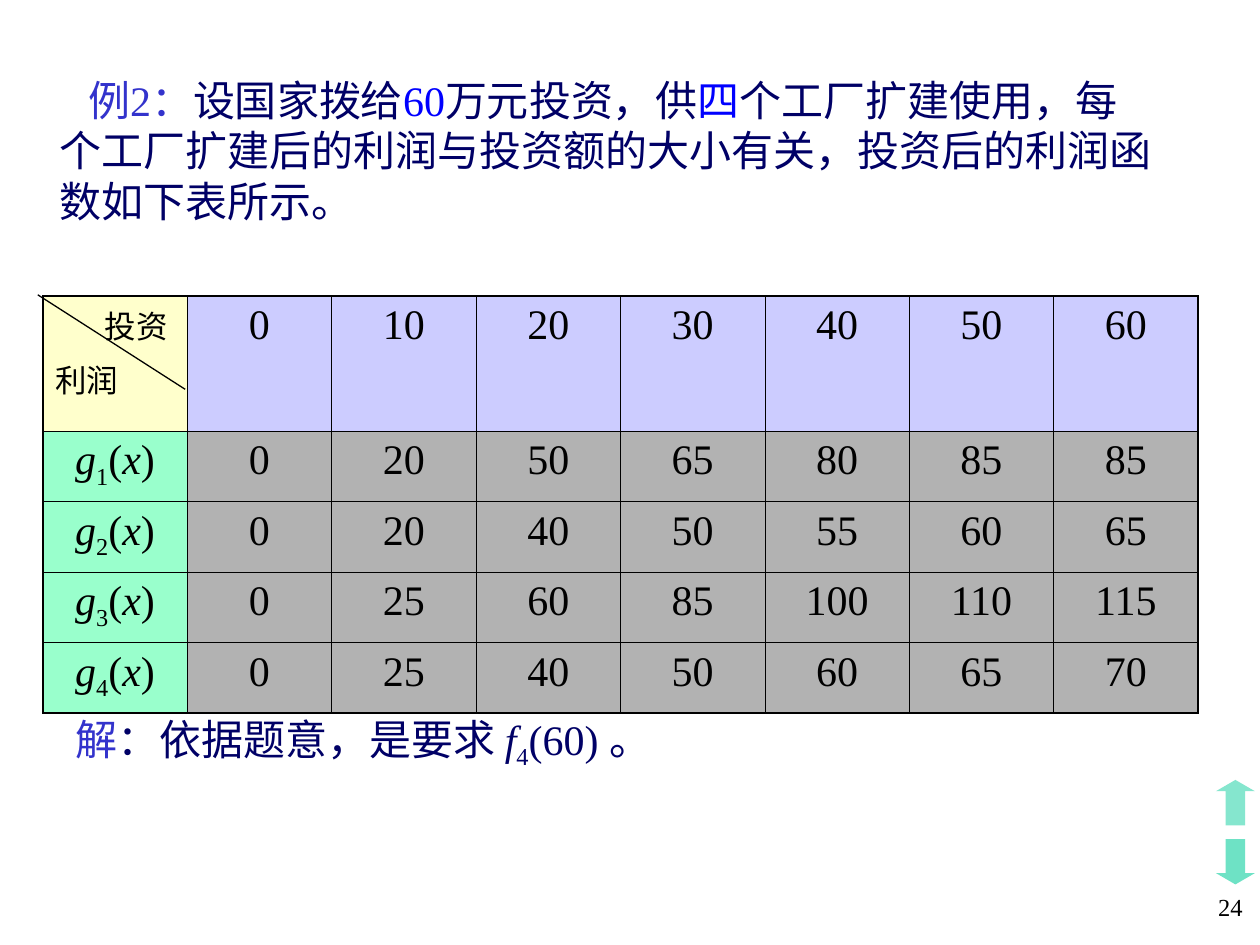
from dataclasses import dataclass

from lxml.etree import SubElement
from pptx import Presentation
from pptx.dml.color import RGBColor
from pptx.enum.shapes import MSO_CONNECTOR as Connector, MSO_SHAPE as Shape
from pptx.enum.text import PP_ALIGN as Align
from pptx.oxml.ns import qn
from pptx.util import Inches, Pt


@dataclass(frozen=True)
class Theme:
    font: str = "Times New Roman"
    label: str = "3333CC"
    body: str = "000066"
    accent: str = "0000FF"
    ink: str = "000000"
    arrow: str = "00CC99"
    corner_fill: str = "FFFFCC"
    header_fill: str = "CCCCFF"
    function_fill: str = "99FFCC"
    value_fill: str = "B2B2B2"
    body_size: float = 24
    corner_size: float = 18
    number_size: float = 14
    inner_line: float = 0.45
    outer_line: float = 1.08
    diagonal_line: float = 0.75


@dataclass(frozen=True)
class Span:
    text: str
    color: str
    italic: bool = False
    subscript: bool = False


def indexed(letter, index, rest, color):
    """Spans for an italic letter with a subscript, followed by more spans."""
    return [Span(letter, color, italic=True), Span(index, color, subscript=True), *rest]


class SlideBuilder:
    def __init__(self, page, theme):
        self.page = page
        self.theme = theme

    def add_spans(self, para, spans, size, align=Align.LEFT, indent=0):
        para.alignment = align
        if indent:
            para._p.get_or_add_pPr().set("indent", str(Inches(indent)))
        for span in spans:
            run = para.add_run()
            run.text = span.text
            font = run.font
            font.name = self.theme.font
            font.size = Pt(size)
            font.italic = span.italic
            font.color.rgb = RGBColor.from_string(span.color)
            if span.subscript:
                run._r.get_or_add_rPr().set("baseline", "-25000")

    def text(self, left, top, width, height, spans, size, **layout):
        box = self.page.shapes.add_textbox(
            Inches(left), Inches(top), Inches(width), Inches(height))
        box.text_frame.word_wrap = True
        self.add_spans(box.text_frame.paragraphs[0], spans, size, **layout)

    def arrow(self, kind, top, opacity):
        arrow = self.page.shapes.add_shape(
            kind, Inches(9.65), Inches(top), Inches(0.31), Inches(0.36))
        arrow.shadow.inherit = False
        arrow.adjustments[1] = 0.29
        arrow.fill.solid()
        arrow.fill.fore_color.rgb = RGBColor.from_string(self.theme.arrow)
        color = arrow._element.spPr.find(qn("a:solidFill") + "/" + qn("a:srgbClr"))
        SubElement(color, qn("a:alpha"), val=str(opacity * 1000))
        arrow.line.fill.background()

    def line(self, start, end):
        line = self.page.shapes.add_connector(
            Connector.STRAIGHT, *(Inches(value) for value in (*start, *end)))
        line.line.color.rgb = RGBColor.from_string(self.theme.ink)
        line.line.width = Pt(self.theme.diagonal_line)
        SubElement(line._element.spPr, qn("a:effectLst"))

    def table(self, left, top, width, row_heights, columns):
        frame = self.page.shapes.add_table(
            len(row_heights), columns, Inches(left), Inches(top),
            Inches(width), Inches(sum(row_heights)))
        grid = frame.table
        grid.horz_banding = grid.first_row = False
        for column in grid.columns:
            column.width = Inches(width / columns)
        for row, height in zip(grid.rows, row_heights):
            row.height = Inches(height)
        for row in range(len(row_heights)):
            for column in range(columns):
                outer = {"lnL": column == 0, "lnR": column == columns - 1,
                         "lnT": row == 0, "lnB": row == len(row_heights) - 1}
                self.borders(grid.cell(row, column), outer)
        return grid

    def borders(self, cell, outer):
        properties = cell._tc.get_or_add_tcPr()
        for side, is_outer in outer.items():
            width = self.theme.outer_line if is_outer else self.theme.inner_line
            edge = SubElement(properties, qn("a:" + side), w=str(Pt(width)))
            fill = SubElement(edge, qn("a:solidFill"))
            SubElement(fill, qn("a:srgbClr"), val=self.theme.ink)

    def fill(self, cell, color):
        cell.fill.solid()
        cell.fill.fore_color.rgb = RGBColor.from_string(color)

    def cell(self, cell, spans, color):
        self.fill(cell, color)
        self.add_spans(cell.text_frame.paragraphs[0], spans,
                       self.theme.body_size, Align.CENTER)

    def corner(self, cell, column_title, row_title):
        theme = self.theme
        self.fill(cell, theme.corner_fill)
        frame = cell.text_frame
        self.add_spans(frame.paragraphs[0], [Span(column_title, theme.ink)],
                       theme.corner_size, indent=0.39)
        para = frame.add_paragraph()
        para.space_before = Pt(4.5)
        self.add_spans(para, [Span(row_title, theme.ink)], theme.corner_size)


INVESTMENTS = [0, 10, 20, 30, 40, 50, 60]
PROFITS = [
    [0, 20, 50, 65, 80, 85, 85],
    [0, 20, 40, 50, 55, 60, 65],
    [0, 25, 60, 85, 100, 110, 115],
    [0, 25, 40, 50, 60, 65, 70],
]


def add_profit_table(builder):
    theme = builder.theme
    ink = theme.ink
    grid = builder.table(0.34, 2.35, 9.17, [1.07] + [0.56] * len(PROFITS),
                         len(INVESTMENTS) + 1)
    builder.corner(grid.cell(0, 0), "投资", "利润")
    for row, values in enumerate([INVESTMENTS, *PROFITS]):
        color = theme.value_fill if row else theme.header_fill
        for column, value in enumerate(values, start=1):
            builder.cell(grid.cell(row, column), [Span(str(value), ink)], color)
        if row:
            argument = [Span("(", ink), Span("x", ink, italic=True), Span(")", ink)]
            builder.cell(grid.cell(row, 0), indexed("g", str(row), argument, ink),
                         theme.function_fill)
    builder.line((1.47, 3.09), (0.3, 2.34))


def main():
    deck = Presentation()
    deck.slide_width, deck.slide_height = Inches(10), Inches(7.5)
    theme = Theme()
    builder = SlideBuilder(deck.slides.add_slide(deck.slide_layouts[6]), theme)

    builder.arrow(Shape.UP_ARROW, 6.19, 48)
    builder.arrow(Shape.DOWN_ARROW, 6.66, 57)
    problem = [
        Span("例2：", theme.label),
        Span("设国家拨给", theme.body),
        Span("60", theme.accent),
        Span("万元投资，供", theme.body),
        Span("四", theme.accent),
        Span("个工厂扩建使用，每个工厂扩建后的利润与投资额的大小有关，"
             "投资后的利润函数如下表所示。", theme.body),
    ]
    builder.text(0.37, 0.54, 8.88, 1.3, problem, theme.body_size, indent=0.23)
    add_profit_table(builder)
    solution = [
        Span("解", theme.label),
        Span("：依据题意，是要求 ", theme.body),
        *indexed("f", "4", [Span("(60) 。", theme.body)], theme.body),
    ]
    builder.text(0.5, 5.61, 7.17, 0.56, solution, theme.body_size)
    builder.text(7.88, 7.03, 2.08, 0.5, [Span("24", theme.ink)],
                 theme.number_size, align=Align.RIGHT)
    deck.save("out.pptx")


if __name__ == "__main__":
    main()
